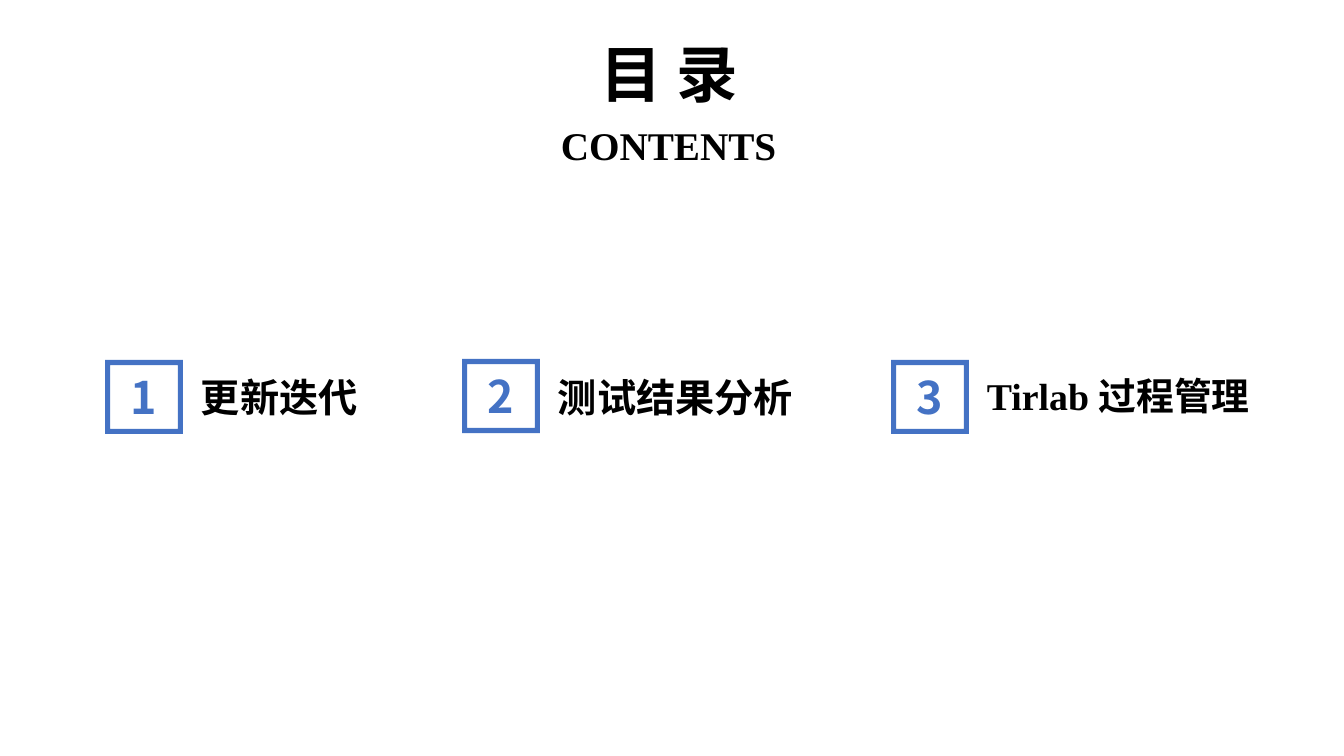
from lxml import etree
from pptx import Presentation
from pptx import util as u
from pptx.dml.color import RGBColor
from pptx.enum import shapes, text
from pptx.oxml.ns import qn

PX = 914400 / 100.8
SANS, SERIF = "Noto Sans CJK SC", "Times New Roman"
BLACK, BLUE = "000000", "4472C4"

HEADINGS = [
    ("目 录", (591, 31, 163, 85), 44, SANS),
    ("CONTENTS", (551, 116, 242, 57), 28, SERIF),
]
SECTIONS = [
    ("更新迭代", 105, 360, 179, 28, SANS, False),
    ("测试结果分析", 462, 359, 258, 28, SANS, False),
    ("Tirlab 过程管理", 891, 360, 287, 27, SERIF, True),
]
FRAME_WIDTH, FRAME_HEIGHT = 78, 74
LABEL_OFFSET, LABEL_TOP, LABEL_HEIGHT = 86, 368, 57


def px(*lengths):
    return [u.Emu(round(length * PX)) for length in lengths]


def color(value):
    return RGBColor.from_string(value)


def write(shape, content, size, font=SANS, fill=BLACK, align=text.PP_ALIGN.LEFT):
    paragraph = shape.text_frame.paragraphs[0]
    paragraph.alignment = align
    run = paragraph.add_run()
    run.text = content
    run.font.name = font
    run.font.size = u.Pt(size)
    run.font.bold = True
    run.font.color.rgb = color(fill)
    latin = run.font._element.find(qn("a:latin"))
    east_asian = etree.Element(qn("a:ea"), typeface=SANS)
    latin.addnext(east_asian)


def add_label(slide, content, box, size, font, wrap=False):
    label = slide.shapes.add_textbox(*px(*box))
    label.text_frame.word_wrap = wrap
    label.text_frame.auto_size = text.MSO_AUTO_SIZE.SHAPE_TO_FIT_TEXT
    write(label, content, size, font=font)


def add_number(slide, number, left, top):
    frame = slide.shapes.add_shape(
        shapes.MSO_SHAPE.FRAME, *px(left, top, FRAME_WIDTH, FRAME_HEIGHT))
    frame.adjustments[0] = 0.07
    frame.shadow.inherit = False
    frame.fill.solid()
    frame.fill.fore_color.rgb = color(BLUE)
    frame.line.fill.background()
    frame.text_frame.vertical_anchor = text.MSO_ANCHOR.MIDDLE
    write(frame, str(number), 32, fill=BLUE, align=text.PP_ALIGN.CENTER)


def main():
    presentation = Presentation()
    presentation.slide_width, presentation.slide_height = px(1344, 756)
    slide = presentation.slides.add_slide(presentation.slide_layouts[6])
    for content, box, size, font in HEADINGS:
        add_label(slide, content, box, size, font)
    for number, section in enumerate(SECTIONS, 1):
        content, left, top, width, size, font, wrap = section
        add_number(slide, number, left, top)
        box = (left + LABEL_OFFSET, LABEL_TOP, width, LABEL_HEIGHT)
        add_label(slide, content, box, size, font, wrap)
    presentation.save("out.pptx")


if __name__ == "__main__":
    main()
